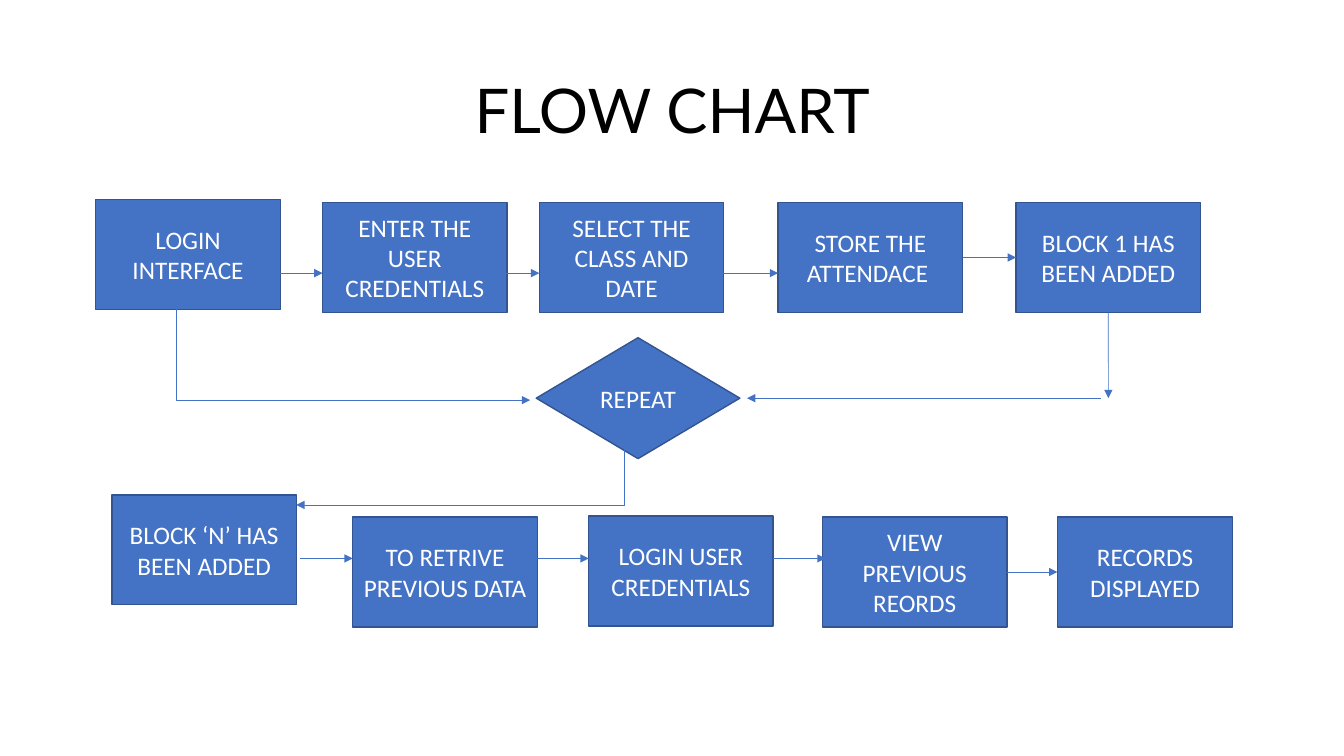
from pptx import Presentation, util as u
from pptx.dml import color
from pptx.enum import shapes, text
from pptx.oxml import ns
from lxml import etree

WIDE, HIGH = u.Inches(13.333), u.Inches(7.5)
BLUE, EDGE, WHITE, BLACK = "4472C4", "325491", "FFFFFF", "000000"
BOX_W, BOX_H = 13.73, 14.53
TOP_LINE, LOW_LINE = 36.13, 73.87  # heights of the arrows in each row
BOTTOM, LEFT, RIGHT = 2, 1, 3

# Label, left, top, width: all lengths are percent of the slide's size.
STEPS = [
    ("LOGIN INTERFACE", 7.13, 26.4, BOX_W),
    ("ENTER THE USER CREDENTIALS", 24, 26.8, BOX_W),
    ("SELECT THE CLASS AND DATE", 40.13, 26.8, BOX_W),
    ("STORE THE ATTENDACE ", 57.9, 26.8, BOX_W),
    ("BLOCK 1 HAS BEEN ADDED", 75.6, 26.8, BOX_W),
    ("BLOCK ‘N’ HAS BEEN ADDED", 8.33, 65.47, BOX_W),
    ("TO RETRIVE PREVIOUS DATA", 26.25, 68.4, BOX_W),
    ("LOGIN USER CREDENTIALS", 43.8, 68.27, BOX_W),
    ("VIEW PREVIOUS REORDS", 61.2, 68.4, BOX_W),
    ("RECORDS DISPLAYED", 78.68, 68.4, 13.05),
]
# Start, end, height of the free level arrows.
LEVELS = [
    (19.95, 24, TOP_LINE), (36, 40.13, TOP_LINE), (53.78, 57.9, TOP_LINE),
    (81.9, 55.58, 52.67),
    (22.35, 26.25, LOW_LINE), (39.9, 43.8, LOW_LINE), (57.53, 61.43, LOW_LINE),
]
# Start, end, and place of the bend in 1/100000 of the width.
BENDS = [
    ((13.05, 40.4), (39.45, 52.93), 300),
    ((46.73, 57.07), (22.05, 66.8), 1000),
]


def rgb(code):
    return color.RGBColor.from_string(code)


def spot(x, y):
    """Turn percent shares into slide lengths."""
    return round(WIDE * x / 100), round(HIGH * y / 100)


def write(shape, words, font="Calibri", size=18, ink=WHITE, space=1.0):
    frame = shape.text_frame
    frame.word_wrap = True
    frame.vertical_anchor = text.MSO_ANCHOR.MIDDLE
    para = frame.paragraphs[0]
    para.alignment = text.PP_ALIGN.CENTER
    para.line_spacing = space
    run = para.add_run()
    run.text = words
    run.font.name, run.font.size = font, u.Pt(size)
    run.font.color.rgb = rgb(ink)


def block(slide, words, x, y, w, h=BOX_H, kind=shapes.MSO_SHAPE.RECTANGLE):
    shape = slide.shapes.add_shape(kind, *spot(x, y), *spot(w, h))
    shape.shadow.inherit = False
    shape.fill.solid()
    shape.fill.fore_color.rgb = rgb(BLUE)
    shape.line.color.rgb = rgb(EDGE)
    shape.line.width = u.Pt(1)
    write(shape, words)
    return shape


def arrow(slide, start=(0, 0), end=(0, 0), bend=None):
    kind = shapes.MSO_CONNECTOR.STRAIGHT if bend is None else shapes.MSO_CONNECTOR.ELBOW
    link = slide.shapes.add_connector(kind, *spot(*start), *spot(*end))
    link.line.color.rgb = rgb(BLUE)
    link.line.width = u.Pt(0.5)
    props = link._element.spPr
    etree.SubElement(props.find(ns.qn("a:ln")), ns.qn("a:tailEnd"), type="triangle")
    etree.SubElement(props, ns.qn("a:effectLst"))
    if bend is not None:
        guides = props.find(ns.qn("a:prstGeom")).get_or_add_avLst()
        etree.SubElement(guides, ns.qn("a:gd"), name="adj1", fmla=f"val {bend}")
    return link


def join(slide, first, second):
    """Link the right side of one block to the left side of the next."""
    link = arrow(slide)
    link.begin_connect(first, RIGHT)
    link.end_connect(second, LEFT)


def main():
    deck = Presentation()
    deck.slide_width, deck.slide_height = WIDE, HIGH
    slide = deck.slides.add_slide(deck.slide_layouts[6])

    title = slide.shapes.add_textbox(*spot(6.9, 5.33), *spot(86.25, 19.33))
    write(title, "FLOW CHART", font="Lato", size=44, ink=BLACK, space=0.9)

    steps = [block(slide, *step) for step in STEPS]
    block(slide, "REPEAT", 39.9, 44.67, 15.15, 16, shapes.MSO_SHAPE.DIAMOND)

    for start, end, y in LEVELS:
        arrow(slide, (start, y), (end, y))
    for start, end, bend in BENDS:
        arrow(slide, start, end, bend)
    store, added, view, records = steps[3], steps[4], steps[8], steps[9]
    join(slide, store, added)
    join(slide, view, records)
    down = arrow(slide, (82.47, 41.33), (82.47, 52.67))
    down.begin_connect(added, BOTTOM)

    deck.save("out.pptx")


if __name__ == "__main__":
    main()
